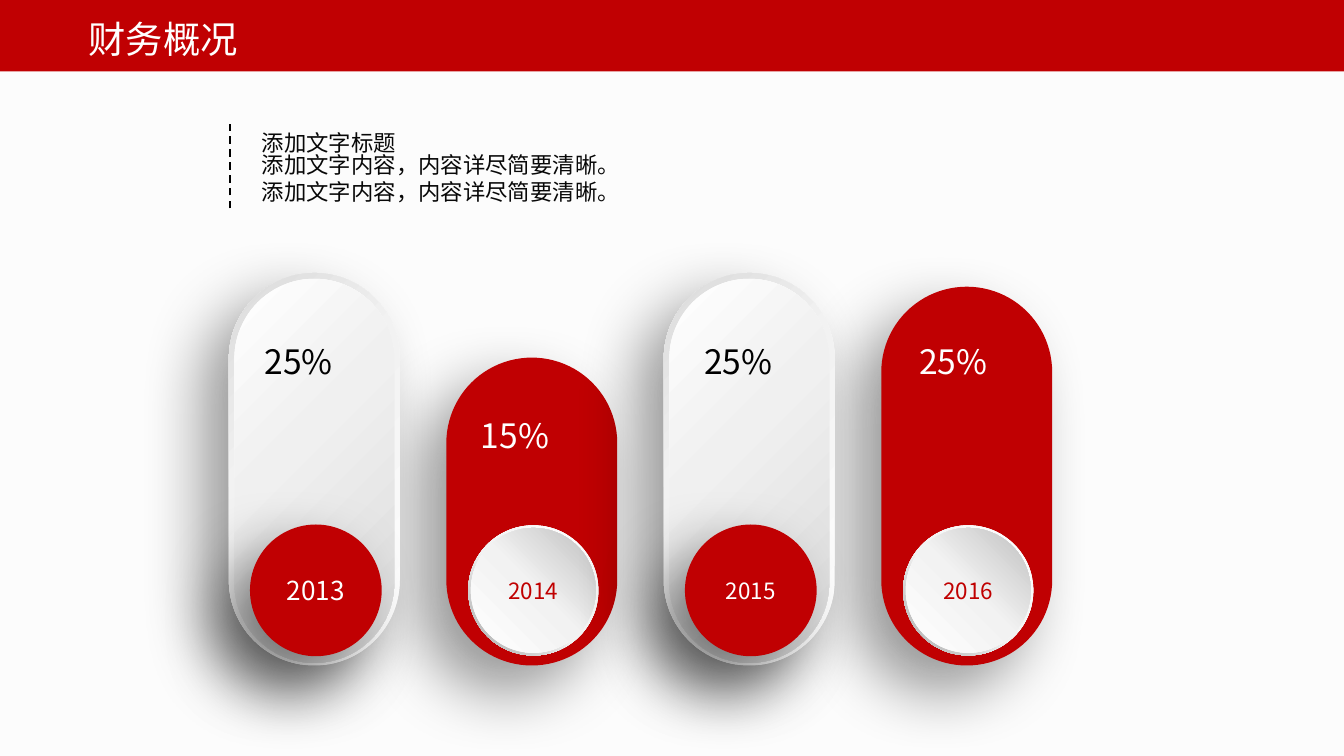
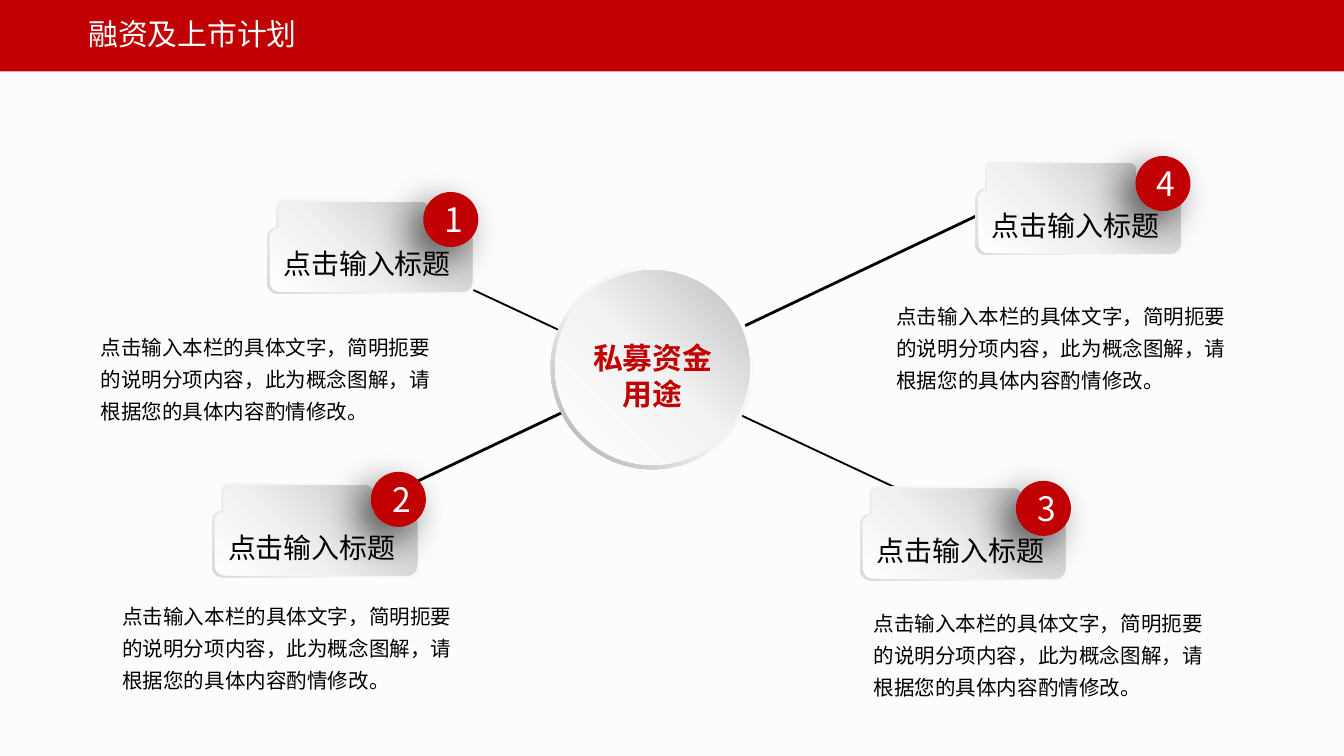
import math
from dataclasses import dataclass
from lxml import etree
from pptx import Presentation
from pptx.dml.color import RGBColor
from pptx.enum.dml import MSO_LINE
from pptx.enum.shapes import MSO_CONNECTOR, MSO_SHAPE
from pptx.enum.text import MSO_ANCHOR, MSO_AUTO_SIZE, PP_ALIGN
from pptx.oxml.ns import qn
from pptx.util import Cm, Pt

RECT, OVAL = MSO_SHAPE.RECTANGLE, MSO_SHAPE.OVAL
PILL, RING = MSO_SHAPE.ROUNDED_RECTANGLE, MSO_SHAPE.DONUT
LINE, DASH = MSO_CONNECTOR.STRAIGHT, MSO_LINE.DASH
LEFT, MID = PP_ALIGN.LEFT, PP_ALIGN.CENTER
MIDDLE, GROW = MSO_ANCHOR.MIDDLE, MSO_AUTO_SIZE.SHAPE_TO_FIT_TEXT


@dataclass(frozen=True)
class Theme:
    font: str = "Noto Sans CJK SC"
    red: str = "C00002"
    year: str = "C00000"
    white: str = "FFFFFF"
    black: str = "000000"
    ink: str = "080808"
    page: str = "FCFCFC"
    # gradients: angle in degrees, then (position, colour) stops
    rim: tuple = (135, (0, "FFFFFF"), (62, "F2F2F2"), (100, "D9D9D9"))
    pill: tuple = (315, (0, "FFFFFF"), (42, "F0F0F0"), (100, "D9D9D9"))
    tab: tuple = (315, (0, "FFFFFF"), (39, "F0F0F0"), (100, "BFBFBF"))
    ring: tuple = (135, (0, "FFFFFF"), (55, "F2F2F2"), (100, "A6A6A6"))
    disc: tuple = (315, (0, "FFFFFF"), (51, "F2F2F2"), (100, "BFBFBF"))
    # shadows: opacity in percent, blur and distance in points
    soft: tuple = (40, 35, 20)
    deep: tuple = (50, 35, 20)
    near: tuple = (60, 20, 10)
    big: int = 18
    hub: int = 16
    head: int = 15
    text: int = 12
    body: int = 11


T = Theme()


def paint(shape, fill, shadow=None):
    """Fill a shape with a colour or gradient, with no outline."""
    shape.line.fill.background()
    shape.shadow.inherit = False
    props = shape._element.spPr
    if isinstance(fill, str):
        shape.fill.solid()
        shape.fill.fore_color.rgb = RGBColor.from_string(fill)
    else:
        shape.fill.background()
        grad = etree.Element(qn("a:gradFill"), rotWithShape="1")
        stops = etree.SubElement(grad, qn("a:gsLst"))
        for pos, color in fill[1:]:
            stop = etree.SubElement(stops, qn("a:gs"), pos=str(pos * 1000))
            etree.SubElement(stop, qn("a:srgbClr"), val=color)
        etree.SubElement(grad, qn("a:lin"), ang=str(fill[0] * 60000), scaled="0")
        props.replace(props.find(qn("a:noFill")), grad)
    if shadow:
        alpha, blur, dist = shadow
        cast = etree.SubElement(
            props.find(qn("a:effectLst")), qn("a:outerShdw"),
            blurRad=str(Pt(blur)), dist=str(Pt(dist)), dir=str(135 * 60000),
            algn="ctr", rotWithShape="0")
        tint = etree.SubElement(cast, qn("a:srgbClr"), val=T.black)
        etree.SubElement(tint, qn("a:alpha"), val=str(alpha * 1000))


def write(shape, lines, size, color, align=LEFT, wrap=True, bold=False, space=None):
    """Put one paragraph per line into a shape or text box."""
    frame = shape.text_frame
    frame.word_wrap = wrap
    for i, line in enumerate(lines):
        para = frame.add_paragraph() if i else frame.paragraphs[0]
        para.alignment = align
        if space:
            para.line_spacing = space
        run = para.add_run()
        run.text = line
        run.font.size = Pt(size)
        run.font.bold = bold
        run.font.color.rgb = RGBColor.from_string(color)
        run.font.name = T.font
        etree.SubElement(run._r.get_or_add_rPr(), qn("a:ea"), typeface=T.font)
    return frame


deck = Presentation()
deck.slide_width, deck.slide_height = Cm(25.4), Cm(14.29)

# Shared page: background, red band, title
pages = []
for title, size, wide, high in (("财务概况", 20, 9.88, 1.12),
                                ("融资及上市计划", 16, 22.28, 0.94)):
    page = deck.slides.add_slide(deck.slide_layouts[6])
    page.background.fill.solid()
    page.background.fill.fore_color.rgb = RGBColor.from_string(T.page)
    band = page.shapes.add_shape(RECT, 0, 0, deck.slide_width, Cm(1.35))
    paint(band, T.red)
    box = page.shapes.add_textbox(Cm(1.42), Cm(0.18), Cm(wide), Cm(high))
    write(box, [title], size, T.white).auto_size = GROW
    pages.append(page.shapes)
money, plan = pages

# Slide 1: year bars, standing on one base line
FIRST, STEP, BASE, WIDE, HUB = 5.94, 4.11, 12.58, 3.23, 11.16
bars = (  # column, year, year size, bar length, red bar
    (1, "2014", 12, 5.82, True),
    (0, "2013", 14, 7.42, False),
    (3, "2016", 12, 7.16, True),
    (2, "2015", 12, 7.42, False),
)
for col, year, size, tall, red in bars:
    mid = FIRST + col * STEP
    center = BASE - tall / 2
    layers = [(tall, WIDE, 0, T.red if red else T.rim, T.soft)]
    if not red:
        layers.append((tall - 0.16, WIDE - 0.21, 0.03, T.pill, None))
    for long, thick, drop, fill, shadow in layers:
        bar = money.add_shape(PILL, Cm(mid - long / 2), Cm(center + drop - thick / 2),
                              Cm(long), Cm(thick))
        bar.rotation = 90
        bar.adjustments[0] = 0.5
        paint(bar, fill, shadow)
    if red:
        discs = [(RING, 2.46, T.ring, None), (OVAL, 2.36, T.disc, None)]
    else:
        discs = [(OVAL, 2.49, T.red, T.deep)]
    for kind, size_cm, fill, shadow in discs:
        disc = money.add_shape(kind, Cm(mid + 0.03 - size_cm / 2), Cm(HUB - size_cm / 2),
                               Cm(size_cm), Cm(size_cm))
        if kind == RING:
            disc.adjustments[0] = 0.05
        paint(disc, fill, shadow)
    frame = write(disc, [year], size, T.year if red else T.white, MID)
    frame.vertical_anchor = MIDDLE

# Slide 1: shares
for x, y, share, color in ((13.06, 6.32, "25%", T.black), (4.75, 6.32, "25%", T.black),
                           (8.84, 7.72, "15%", T.white), (17.12, 6.32, "25%", T.white)):
    box = money.add_textbox(Cm(x), Cm(y), Cm(1.83), Cm(1.02))
    write(box, [share], T.big, color, wrap=False).auto_size = GROW

# Slide 1: note with dashed rule
for y, wide, high, lines in (
        (2.31, 3.07, 0.76, ["添加文字标题"]),
        (2.74, 7.34, 1.27, ["添加文字内容，内容详尽简要清晰。"] * 2)):
    box = money.add_textbox(Cm(4.7), Cm(y), Cm(wide), Cm(high))
    write(box, lines, T.text, T.ink, wrap=False).auto_size = GROW

# Rules: the dashed one on slide 1, the crossing ones on slide 2
for page, x1, y1, x2, y2, width, dash in (
        (money, 4.34, 3.94, 4.34, 2.34, 1, DASH),
        (plan, 18.34, 9.88, 8.26, 5.16, 1, None),
        (plan, 6.07, 9.96, 18.75, 3.94, 1.5, None)):
    rule = page.add_connector(LINE, Cm(x1), Cm(y1), Cm(x2), Cm(y2))
    rule.line.color.rgb = RGBColor.from_string(T.black)
    rule.line.width = Pt(width)
    if dash:
        rule.line.dash_style = dash
    etree.SubElement(rule._element.spPr, qn("a:effectLst"))

# Slide 2: outline of a tab, from corners with radii
corners = ((0.18, 0, 0.13), (3.07, 0, 0.13), (3.07, 0.52, 0), (3.94, 0.52, 0.2),
           (3.94, 1.77, 0.2), (0, 1.77, 0.2), (0, 0.52, 0.18), (0.18, 0.52, 0))
edge = []
for i, (x, y, r) in enumerate(corners):
    if not r:
        edge.append((x, y))
        continue
    (px, py, _), (nx, ny, _) = corners[i - 1], corners[(i + 1) % len(corners)]
    back, ahead = math.dist((x, y), (px, py)), math.dist((x, y), (nx, ny))
    for k in range(7):
        turn = math.pi / 12 * k
        a = r * (1 - math.sin(turn)) / back
        b = r * (1 - math.cos(turn)) / ahead
        edge.append((x + a * (px - x) + b * (nx - x), y + a * (py - y) + b * (ny - y)))

# Slide 2: four tabs with heading, text and number
BODY = "点击输入本栏的具体文字，简明扼要的说明分项内容，此为概念图解，请根据您的具体内容酌情修改。"
items = (  # tab, text and badge positions
    (5.05, 3.78, 1.65, 6.07, 8.0, 3.63),
    (4.01, 9.14, 2.06, 11.15, 7.01, 8.92),
    (16.26, 9.2, 16.26, 11.28, 19.2, 9.09),
    (18.44, 3.05, 16.69, 5.49, 21.46, 2.95),
)
for num, (x, y, tx, ty, bx, by) in enumerate(items, 1):
    for dx, dy, sx, sy, fill in ((0, 0, 1, 1, T.rim), (0.05, 0.04, 0.97, 0.96, T.tab)):
        points = [(Cm(x + dx + u * sx), Cm(y + dy + v * sy)) for u, v in edge]
        path = plan.build_freeform(*points[0])
        path.add_line_segments(points[1:], close=True)
        paint(path.convert_to_shape(), fill)
    box = plan.add_textbox(Cm(x + 0.05), Cm(y + 0.76), Cm(3.71), Cm(0.89))
    write(box, ["点击输入标题"], T.head, T.black, wrap=False).auto_size = GROW
    box = plan.add_textbox(Cm(tx), Cm(ty), Cm(6.81), Cm(2.08))
    write(box, [BODY], T.body, T.black, space=1.3).auto_size = GROW
    badge = plan.add_shape(OVAL, Cm(bx), Cm(by), Cm(1.04), Cm(1.04))
    paint(badge, T.red, T.near)
    write(badge, [str(num)], T.big, T.white, MID).vertical_anchor = MIDDLE

# Slide 2: hub
for kind, x, y, wide, fill in ((RING, 10.41, 5.03, 3.84, T.ring),
                               (OVAL, 10.49, 5.11, 3.68, T.disc)):
    hub = plan.add_shape(kind, Cm(x), Cm(y), Cm(wide), Cm(wide))
    if kind == RING:
        hub.adjustments[0] = 0.05
    paint(hub, fill)
box = plan.add_textbox(Cm(11.05), Cm(6.43), Cm(2.57), Cm(1.37))
frame = write(box, ["私募资金", "用途"], T.hub, T.red, MID, bold=True)
frame.auto_size = GROW
frame.margin_left = frame.margin_right = frame.margin_top = frame.margin_bottom = 0

deck.save("out.pptx")
